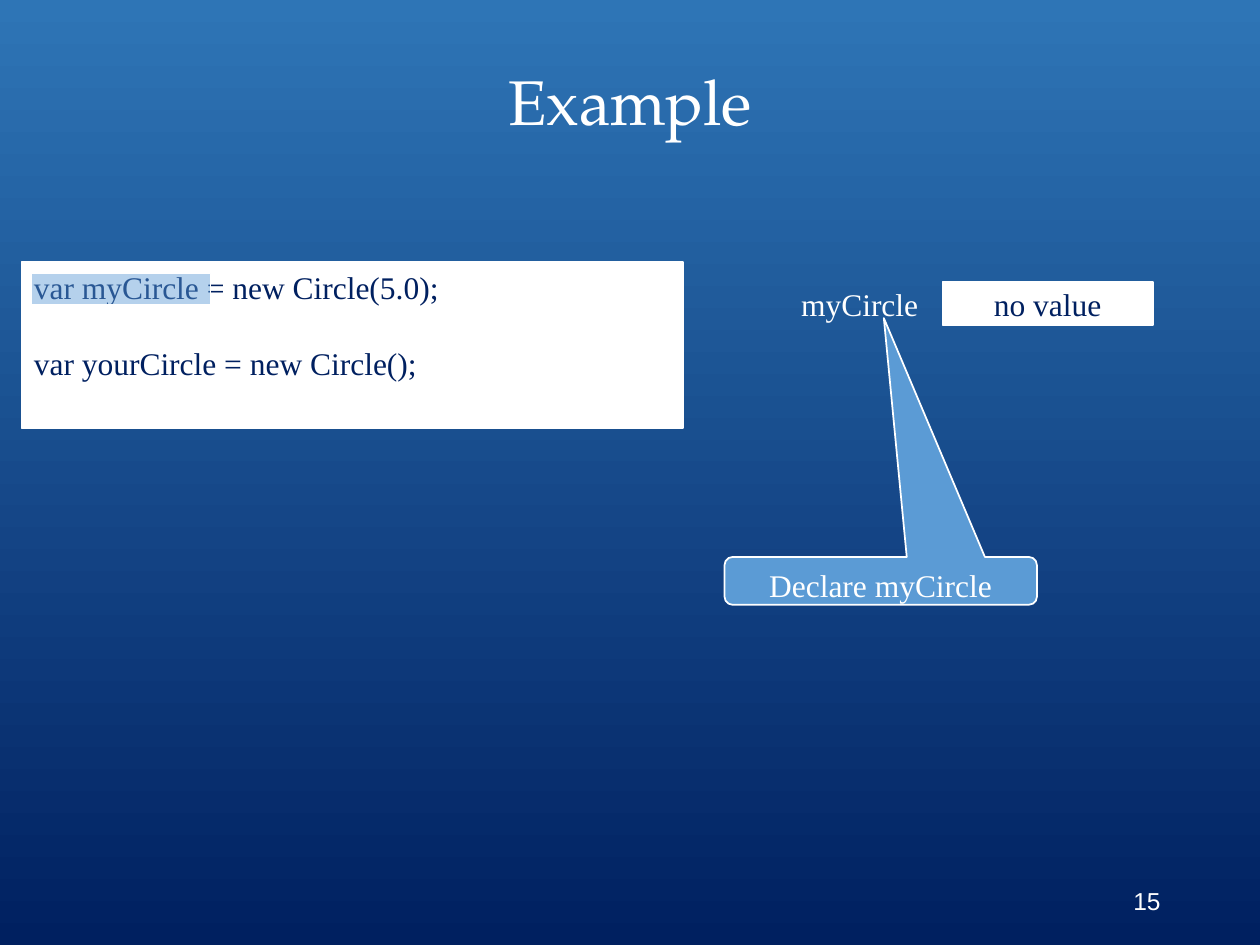
from lxml import etree
from pptx import Presentation
from pptx.dml.color import RGBColor
from pptx.enum.shapes import MSO_SHAPE
from pptx.enum.text import MSO_ANCHOR, PP_ALIGN
from pptx.oxml.ns import qn
from pptx.util import Inches, Pt

RECTANGLE = MSO_SHAPE.RECTANGLE
CALLOUT = MSO_SHAPE.ROUNDED_RECTANGULAR_CALLOUT
TOP, MIDDLE = MSO_ANCHOR.TOP, MSO_ANCHOR.MIDDLE
LEFT, CENTER, RIGHT = PP_ALIGN.LEFT, PP_ALIGN.CENTER, PP_ALIGN.RIGHT
WHITE, NAVY, SKY, BLUE = "FFFFFF", "002060", "5B9BD5", "2E75B6"
SERIF, TITLE_FONT, SANS = "Times New Roman", "TeX Gyre Pagella", "Arial"


def color(value):
    """Turn a hex string into a colour."""
    return RGBColor.from_string(value)


def paint_background(page):
    """Fill the page with a gradient from top to bottom."""
    fill = page.background.fill
    fill.gradient()
    fill.gradient_angle = 270
    for stop, value in zip(fill.gradient_stops, (BLUE, NAVY)):
        stop.color.rgb = color(value)


def add_panel(page, box, fill, kind=RECTANGLE):
    """Add a filled shape with a thin white outline."""
    shape = page.shapes.add_shape(kind, *map(Inches, box))
    shape.shadow.inherit = False
    shape.fill.solid()
    shape.fill.fore_color.rgb = color(fill)
    shape.line.color.rgb = color(WHITE)
    shape.line.width = Pt(1)
    return shape


def write(shape, lines, ink=WHITE, size=18, font=SERIF, align=LEFT,
          anchor=TOP, gap=0, spacing=None, wrap=True):
    """Write lines into a shape, with a gap in points between them."""
    frame = shape.text_frame
    frame.word_wrap = wrap
    frame.vertical_anchor = anchor
    for index, line in enumerate(lines):
        para = frame.add_paragraph() if index else frame.paragraphs[0]
        para.alignment = align
        if index:
            para.space_before = Pt(gap)
        if spacing:
            para.line_spacing = spacing
        span = para.add_run()
        span.text = line
        span.font.size = Pt(size)
        span.font.name = font
        span.font.color.rgb = color(ink)


def add_label(page, box, text, **style):
    """Add a text box holding one line."""
    write(page.shapes.add_textbox(*map(Inches, box)), [text], **style)


def add_code(page, box):
    """Add the code panel and the highlight over its first words."""
    left, top = box[:2]
    write(add_panel(page, box, WHITE),
          ["var myCircle = new Circle(5.0);", "var yourCircle = new Circle();"],
          ink=NAVY, gap=21.5)
    highlight = add_panel(page, (left + 0.08, top + 0.09, 1.42, 0.25), SKY)
    tint = highlight.fill._xPr.find(qn("a:solidFill"))[0]
    etree.SubElement(tint, qn("a:alpha")).set("val", "45000")


def add_callout(page, box):
    """Add the callout that points up at the variable name."""
    callout = add_panel(page, box, SKY, CALLOUT)
    for index, value in enumerate((0.01, -5.49, 0.17)):
        callout.adjustments[index] = value
    write(callout, ["Declare myCircle"], align=CENTER)


def add_variable(page, box):
    """Add the variable name and the cell with its value."""
    left, top = box[:2]
    cell = add_panel(page, (left + 1.22, top + 0.03, 1.67, 0.34), WHITE)
    frame = cell.text_frame
    frame.margin_left = frame.margin_right = Inches(0.01)
    frame.margin_top = frame.margin_bottom = Inches(0.01)
    write(cell, ["no value"], ink=NAVY, align=CENTER, anchor=MIDDLE, wrap=False)
    add_label(page, box, "myCircle")


def main():
    """Build the deck and save it."""
    deck = Presentation()
    deck.slide_width, deck.slide_height = Inches(10), Inches(7.5)
    page = deck.slides.add_slide(deck.slide_layouts[6])
    paint_background(page)
    add_label(page, (0, 0.17, 10, 1.33), "Example", size=36, font=TITLE_FONT,
              align=CENTER, anchor=MIDDLE, spacing=0.9)
    add_code(page, (0.17, 2.08, 5.25, 1.32))
    add_callout(page, (5.75, 4.42, 2.48, 0.38))
    add_variable(page, (6.26, 2.21, 1.24, 0.4))
    add_label(page, (7.06, 6.95, 2.25, 0.4), "15", size=14, font=SANS,
              align=RIGHT, anchor=MIDDLE)
    deck.save("out.pptx")


if __name__ == "__main__":
    main()
